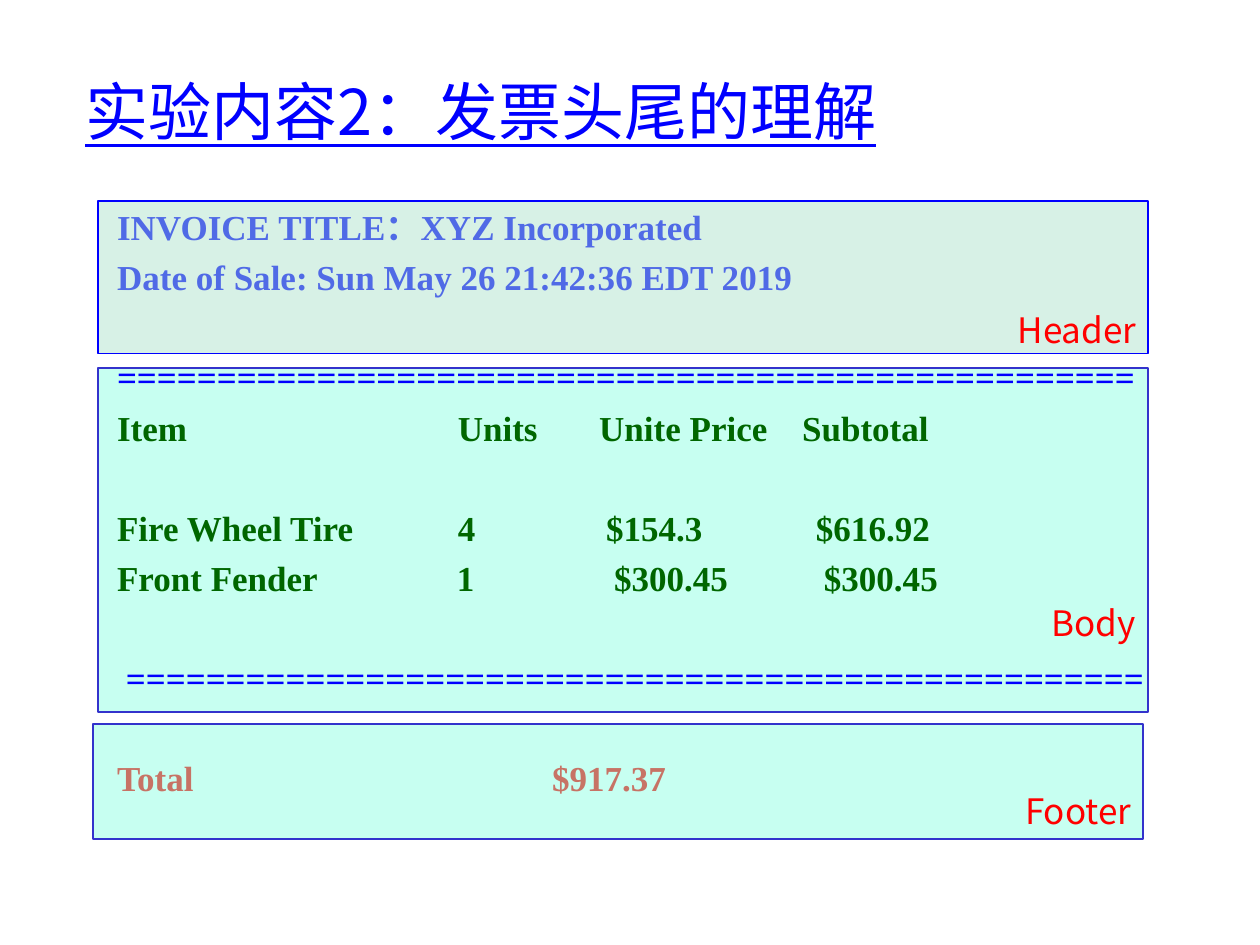
from lxml.etree import SubElement
from pptx import Presentation
from pptx.dml.color import RGBColor
from pptx.enum.shapes import MSO_SHAPE as Shape
from pptx.enum.text import MSO_ANCHOR as Anchor, MSO_AUTO_SIZE as AutoSize, PP_ALIGN as Align
from pptx.oxml.ns import qn
from pptx.util import Cm, Pt

SANS, SERIF = "Noto Sans CJK SC", "Times New Roman"
BLUE, GREEN, RED = "0000FF", "006600", "FF0000"
GAP, LINE = 5, 28  # points: space before a line, and the height of a skipped line
RULE = "=" * 51

# Content
TITLE = "实验内容2：发票头尾的理解"
INVOICE = [  # text, colour, lines skipped before, tab stops (cm), indent (cm)
    ("INVOICE TITLE：XYZ Incorporated", BLUE, 0, (), 0),
    ("Date of Sale: Sun May 26 21:42:36 EDT 2019", BLUE, 0, (), 0),
    (RULE, BLUE, 1, (), 0),
    ("Item\tUnits\tUnite Price\tSubtotal", GREEN, 0, (6.87, 9.72, 13.81), 0),
    ("Fire Wheel Tire\t4\t$154.3\t$616.92", GREEN, 1, (6.87, 9.86, 14.09), 0),
    ("Front Fender\t1\t$300.45\t$300.45", GREEN, 0, (6.85, 10.02, 14.25), 0),
    (RULE, BLUE, 1, (), 0.18),
    ("Total\t$917.37", RED, 1, (8.77,), 0),
]
# Boxes are left, top, width, height in cm
BODY = ((1.98, 7.42, 21.16, 6.93), "85FFE0", 45, "3333CC")
HEADER = ((1.98, 4.06, 21.16, 3.07), "AAE2CA", 47, BLUE)
FOOTER = ((1.88, 14.6, 21.16, 2.31), "85FFE0", 45, "3333CC")
LABELS = [
    ("Header", (19.38, 6.1, 3.78, 1.12)),
    ("Body", (20.32, 12.01, 2.82, 1.12)),
    ("Footer", (20.32, 15.8, 2.74, 1.12)),
]


def color(value):
    return RGBColor.from_string(value)


def add_panel(slide, box, fill, opacity, line):
    shape = slide.shapes.add_shape(Shape.RECTANGLE, *map(Cm, box))
    shape.shadow.inherit = False
    shape.fill.solid()
    shape.fill.fore_color.rgb = color(fill)
    fill_color = shape.fill._xPr.find(qn("a:solidFill"))[0]
    SubElement(fill_color, qn("a:alpha"), val=str(opacity * 1000))
    shape.line.color.rgb = color(line)
    shape.line.width = Pt(1)


def add_line(paragraph, text, *, font=SANS, size=20, fill=BLUE, bold=False,
             underline=False, align=Align.LEFT, before=0, tabs=(), indent=0):
    paragraph.alignment = align
    paragraph.space_before = Pt(before)
    properties = paragraph._p.get_or_add_pPr()
    if indent:
        properties.set("marL", str(Cm(indent)))
    if tabs:
        stops = SubElement(properties, qn("a:tabLst"))
        for stop in tabs:
            SubElement(stops, qn("a:tab"), pos=str(Cm(stop)), algn="l")
    run = paragraph.add_run()
    run.text = text
    run.font.name, run.font.size = font, Pt(size)
    run.font.bold, run.font.underline = bold, underline
    run.font.color.rgb = color(fill)
    SubElement(run._r.get_or_add_rPr(), qn("a:ea"), typeface=SANS)


def add_frame(slide, box, anchor=Anchor.TOP, auto_size=AutoSize.NONE):
    frame = slide.shapes.add_textbox(*map(Cm, box)).text_frame
    frame.word_wrap = True
    frame.auto_size = auto_size
    frame.vertical_anchor = anchor
    return frame


def main():
    presentation = Presentation()
    presentation.slide_width, presentation.slide_height = Cm(25.4), Cm(19.05)
    slide = presentation.slides.add_slide(presentation.slide_layouts[6])

    # Invoice text, above the body panel and below the other two
    add_panel(slide, *BODY)
    frame = add_frame(slide, (2.11, 4.01, 21.59, 12.9))
    for index, (text, fill, skipped, tabs, indent) in enumerate(INVOICE):
        paragraph = frame.add_paragraph() if index else frame.paragraphs[0]
        add_line(paragraph, text, font=SERIF, fill=fill, bold=True, align=Align.JUSTIFY,
                 before=GAP + skipped * LINE if index else 0, tabs=tabs, indent=indent)
    add_panel(slide, *HEADER)

    # Title
    frame = add_frame(slide, (1.47, 0.64, 21.59, 3.18), Anchor.MIDDLE)
    add_line(frame.paragraphs[0], TITLE, size=36, underline=True)

    # Footer panel and part labels
    add_panel(slide, *FOOTER)
    for text, box in LABELS:
        frame = add_frame(slide, box, auto_size=AutoSize.SHAPE_TO_FIT_TEXT)
        add_line(frame.paragraphs[0], text, fill=RED, align=Align.RIGHT)

    presentation.save("out.pptx")


if __name__ == "__main__":
    main()
